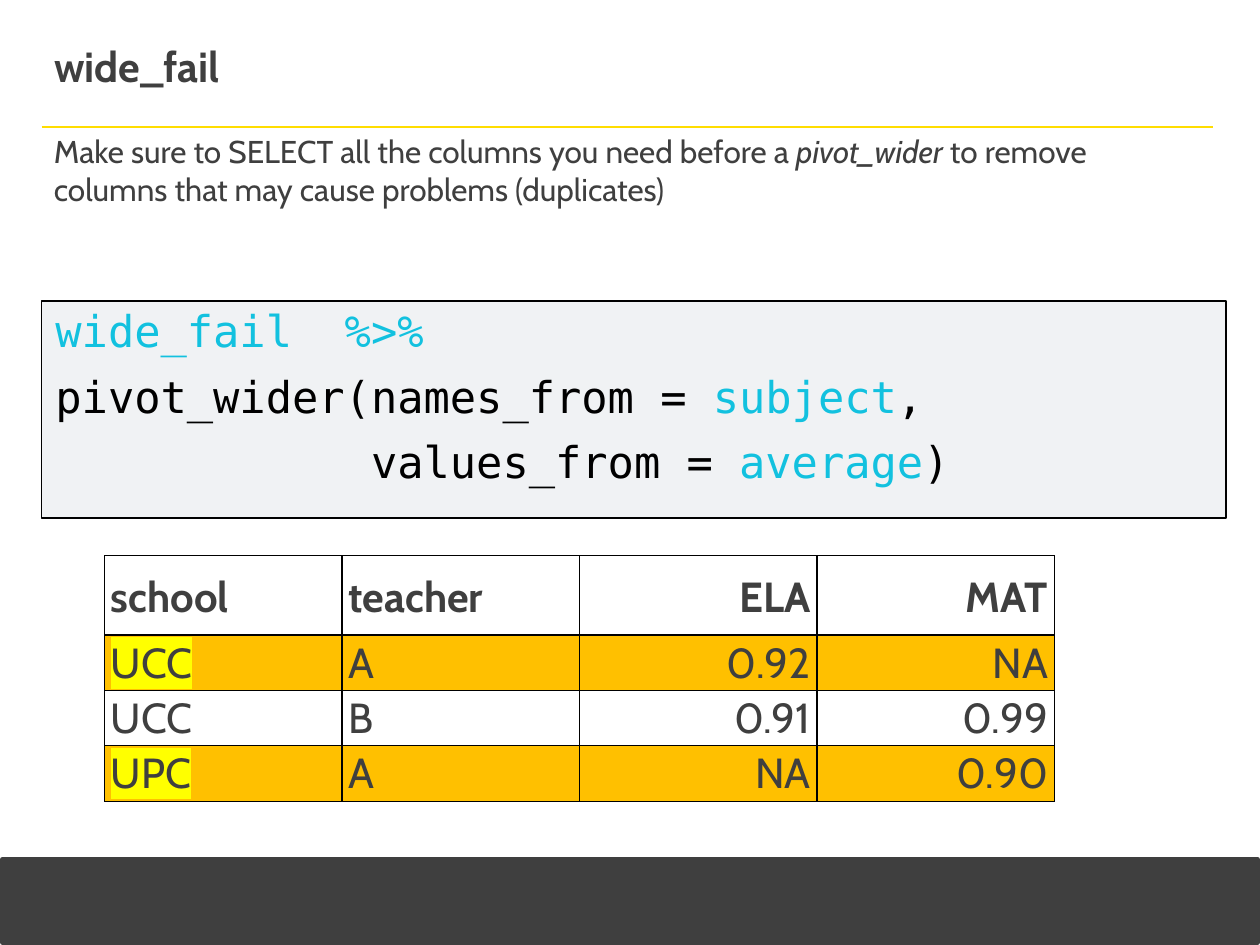
from lxml.etree import SubElement
from pptx import Presentation
from pptx.dml.color import RGBColor
from pptx.enum.shapes import MSO_CONNECTOR, MSO_SHAPE
from pptx.enum.text import MSO_ANCHOR, PP_ALIGN
from pptx.oxml.ns import qn
from pptx.util import Inches, Pt

BODY_FONT = "Cabin"
CODE_FONT = "DejaVu Sans Mono"
DARK = "3F3F3F"
BLACK = "000000"
CYAN = "12C1DF"
RULE_YELLOW = "FFDD00"
ROW_ORANGE = "FFC000"
MARKER_YELLOW = "FFFF00"
CODE_GREY = "F0F2F4"

CODE_LINES = [
    [("wide_fail  %>%", CYAN)],
    [("pivot_wider(names_from = ", BLACK), ("subject", CYAN), (",", BLACK)],
    [("            values_from = ", BLACK), ("average", CYAN), (")", BLACK)],
]
SCORES = [
    ["school", "teacher", "ELA", "MAT"],
    ["UCC", "A", "0.92", "NA"],
    ["UCC", "B", "0.91", "0.99"],
    ["UPC", "A", "NA", "0.90"],
]
MISSING_ROWS = (1, 3)


def color(hex_value):
    return RGBColor.from_string(hex_value)


def add_text(paragraph, text, size=18, font=BODY_FONT, fill=DARK,
             bold=False, italic=False, highlight=None):
    run = paragraph.add_run()
    run.text = text
    run.font.size = Pt(size)
    run.font.bold = bold
    run.font.italic = italic
    run.font.color.rgb = color(fill)
    if highlight:
        marker = SubElement(run.font._element, qn("a:highlight"))
        SubElement(marker, qn("a:srgbClr"), val=highlight)
    run.font.name = font


def add_panel(slide, left, top, width, height, fill, line, line_width):
    panel = slide.shapes.add_shape(MSO_SHAPE.RECTANGLE, Inches(left), Inches(top),
                                   Inches(width), Inches(height))
    panel.shadow.inherit = False
    panel.fill.solid()
    panel.fill.fore_color.rgb = color(fill)
    panel.line.color.rgb = color(line)
    panel.line.width = Pt(line_width)


def add_rule(slide, left, right, y):
    rule = slide.shapes.add_connector(MSO_CONNECTOR.STRAIGHT, Inches(left), Inches(y),
                                      Inches(right), Inches(y))
    rule.line.color.rgb = color(RULE_YELLOW)
    rule.line.width = Pt(1)
    SubElement(rule._element.spPr, qn("a:effectLst"))


def add_text_frame(slide, left, top, width, height):
    frame = slide.shapes.add_textbox(Inches(left), Inches(top),
                                     Inches(width), Inches(height)).text_frame
    frame.word_wrap = True
    return frame


def set_title(slide, text):
    title = slide.shapes.title
    title.left, title.top = Inches(0.33), Inches(0.26)
    title.width, title.height = Inches(9.3), Inches(0.53)
    title.text_frame.vertical_anchor = MSO_ANCHOR.MIDDLE
    heading = title.text_frame.paragraphs[0]
    heading.alignment = PP_ALIGN.LEFT
    add_text(heading, text, size=24, bold=True)


def add_advice(slide):
    advice = add_text_frame(slide, 0.33, 1, 9.33, 1.72).paragraphs[0]
    add_text(advice, "Make sure to SELECT all the columns you need before a ")
    add_text(advice, "pivot_wider", italic=True)
    add_text(advice, " to remove columns that may cause problems (duplicates)")


def add_code(slide):
    add_panel(slide, 0.33, 2.39, 9.4, 1.72, CODE_GREY, BLACK, 1)
    frame = add_text_frame(slide, 0.42, 2.39, 9.4, 1.72)
    frame.margin_left = frame.margin_right = Inches(0.02)
    frame.margin_top = frame.margin_bottom = Inches(0.02)
    for number, pieces in enumerate(CODE_LINES):
        line = frame.add_paragraph() if number else frame.paragraphs[0]
        if number:
            line.space_before = Pt(7.5)
        for text, fill in pieces:
            add_text(line, text, size=25, font=CODE_FONT, fill=fill)


def set_borders(cell):
    properties = cell._tc.get_or_add_tcPr()
    for side in ("a:lnL", "a:lnR", "a:lnT", "a:lnB"):
        border = SubElement(properties, qn(side), w=str(Pt(0.75)))
        fill = SubElement(border, qn("a:solidFill"))
        SubElement(fill, qn("a:srgbClr"), val=BLACK)


def format_cell(cell, text, row, column):
    header = row == 0
    missing = row in MISSING_ROWS
    set_borders(cell)
    if missing:
        cell.fill.solid()
        cell.fill.fore_color.rgb = color(ROW_ORANGE)
    else:
        cell.fill.background()
    cell.vertical_anchor = MSO_ANCHOR.MIDDLE
    cell.margin_left = cell.margin_right = Inches(0.05)
    cell.margin_top = Inches(0.05 if header else 0.02)
    cell.margin_bottom = Inches(0.02)
    entry = cell.text_frame.paragraphs[0]
    entry.alignment = PP_ALIGN.RIGHT if column >= 2 else PP_ALIGN.LEFT
    add_text(entry, text, size=24, bold=header,
             highlight=MARKER_YELLOW if missing and column == 0 else None)


def add_scores(slide):
    table = slide.shapes.add_table(len(SCORES), len(SCORES[0]), Inches(0.83), Inches(4.41),
                                   Inches(7.54), Inches(1.93)).table
    table.first_row = table.horz_banding = False
    for row, values in enumerate(SCORES):
        table.rows[row].height = Inches(0.43 if row else 0.63)
        for column, text in enumerate(values):
            format_cell(table.cell(row, column), text, row, column)


def main():
    presentation = Presentation()
    presentation.slide_width = Inches(10)
    presentation.slide_height = Inches(7.5)
    slide = presentation.slides.add_slide(presentation.slide_layouts[5])
    add_panel(slide, 0.02, 6.82, 9.96, 0.66, DARK, DARK, 3)
    add_rule(slide, 0.33, 9.63, 1.01)
    set_title(slide, "wide_fail")
    add_advice(slide)
    add_scores(slide)
    add_code(slide)
    presentation.save("out.pptx")


if __name__ == "__main__":
    main()
